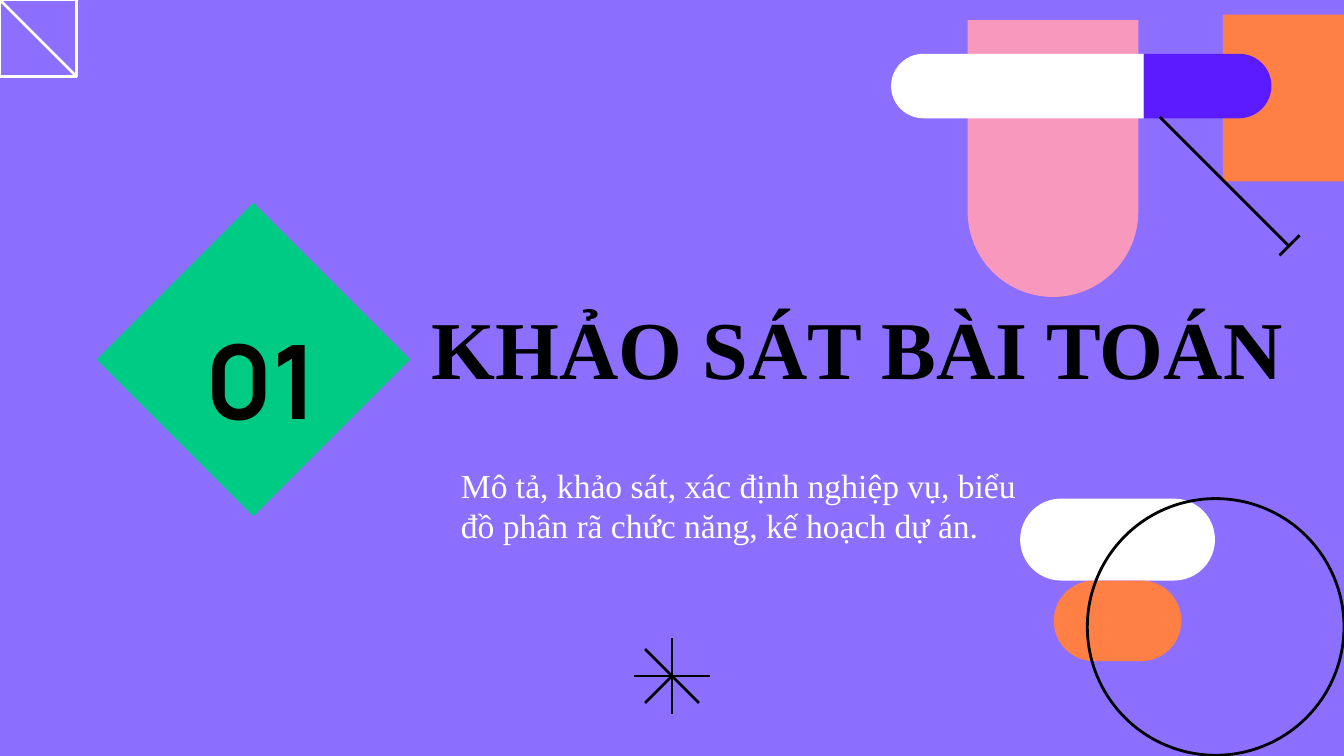
import pptx
import pptx.util
import pptx.dml.color
import pptx.enum.shapes
import pptx.enum.text
import pptx.oxml.ns
import lxml.etree

Inches = pptx.util.Inches
Pt = pptx.util.Pt
SHAPES = pptx.enum.shapes.MSO_SHAPE
ALIGN = pptx.enum.text.PP_ALIGN
ANCHOR = pptx.enum.text.MSO_ANCHOR

BLACK = "000000"
WHITE = "FFFFFF"
ORANGE = "FF7F44"
PINK = "F998BD"
VIOLET = "5A1CFE"
GREEN = "00CB84"
LAVENDER = "8D6FFF"


def color(value):
    return pptx.dml.color.RGBColor.from_string(value)


def place(shape, left, top, width, height):
    shape.left, shape.top = Inches(left), Inches(top)
    shape.width, shape.height = Inches(width), Inches(height)


def add_shape(page, kind, box, fill=None, line=None, rotation=0, corners=()):
    shape = page.shapes.add_shape(kind, *map(Inches, box))
    shape.shadow.inherit = False
    shape.rotation = rotation
    for index, corner in enumerate(corners):
        shape.adjustments[index] = corner
    if fill:
        shape.fill.solid()
        shape.fill.fore_color.rgb = color(fill)
    else:
        shape.fill.background()
    if line:
        shape.line.color.rgb = color(line)
        shape.line.width = Pt(1.5)
    else:
        shape.line.fill.background()


def add_pill(page, box, fill):
    add_shape(page, SHAPES.ROUNDED_RECTANGLE, box, fill, corners=[0.5])


def add_half_pill(page, box, fill, rotation):
    left, top, width, height = box
    shift = (width - height) / 2
    turned = (left + shift, top - shift, height, width)
    add_shape(page, SHAPES.ROUND_2_SAME_RECTANGLE, turned, fill,
              rotation=rotation, corners=[0.5, 0])


def add_line(page, start, end, line=BLACK):
    connector = page.shapes.add_connector(
        pptx.enum.shapes.MSO_CONNECTOR.STRAIGHT, *map(Inches, start + end))
    connector.line.color.rgb = color(line)
    connector.line.width = Pt(1.5)
    lxml.etree.SubElement(connector.element.spPr, pptx.oxml.ns.qn("a:effectLst"))


def set_text(box, text, font, size, fill, bold=False, align=ALIGN.LEFT,
             anchor=ANCHOR.MIDDLE):
    frame = box.text_frame
    frame.text = text
    frame.word_wrap = True
    frame.auto_size = pptx.enum.text.MSO_AUTO_SIZE.NONE
    frame.vertical_anchor = anchor
    frame.margin_left = frame.margin_right = Inches(0.1)
    frame.margin_top = frame.margin_bottom = Inches(0.1)
    para = frame.paragraphs[0]
    para.alignment = align
    para.space_before = Pt(0)
    para.line_spacing = 1.0
    para.font.name = font
    para.font.size = Pt(size)
    para.font.bold = bold
    para.font.color.rgb = color(fill)


def add_corner_square(page):
    add_shape(page, SHAPES.RECTANGLE, (0, 0, 0.57, 0.57), line=WHITE)
    add_line(page, (0, 0), (0.57, 0.57), WHITE)


def add_texts(page):
    title, subtitle = page.placeholders
    place(title, 3.11, 1.63, 6.59, 1.9)
    set_text(title, "KHẢO SÁT BÀI TOÁN", "Times New Roman", 44, BLACK, bold=True)
    place(subtitle, 3.33, 3.36, 4.51, 0.77)
    set_text(subtitle,
             "Mô tả, khảo sát, xác định nghiệp vụ, biểu đồ phân rã chức năng, "
             "kế hoạch dự án.",
             "Times New Roman", 18, WHITE, anchor=ANCHOR.TOP)


def add_number(page):
    add_shape(page, SHAPES.RECTANGLE, (1.06, 1.85, 1.65, 1.65), GREEN, rotation=45)
    number = page.shapes.add_textbox(*map(Inches, (1.26, 2.29, 1.37, 1.05)))
    set_text(number, "01", "Manrope", 55, BLACK, bold=True, align=ALIGN.CENTER)


def add_decorations(page):
    add_shape(page, SHAPES.RECTANGLE, (9.1, 0.11, 0.9, 1.24), ORANGE)
    add_shape(page, SHAPES.ROUND_2_SAME_RECTANGLE, (7.2, 0.15, 1.27, 2.06), PINK,
              corners=[0, 0.5])
    add_pill(page, (7.59, 3.71, 1.45, 0.61), WHITE)
    add_pill(page, (7.84, 4.32, 0.95, 0.6), ORANGE)
    add_shape(page, SHAPES.OVAL, (8.09, 3.71, 1.91, 1.91), line=BLACK)
    add_half_pill(page, (8.51, 0.4, 0.95, 0.48), VIOLET, 90)
    add_half_pill(page, (6.63, 0.4, 1.88, 0.48), WHITE, 270)
    add_line(page, (8.63, 0.87), (9.59, 1.83))
    add_line(page, (9.67, 1.75), (9.52, 1.9))


def add_star(page, x, y):
    arm, diagonal = 0.28, 0.2
    add_line(page, (x, y - arm), (x, y + arm))
    add_line(page, (x - arm, y), (x + arm, y))
    add_line(page, (x - diagonal, y - diagonal), (x + diagonal, y + diagonal))
    add_line(page, (x - diagonal, y + diagonal), (x, y))


def main():
    deck = pptx.Presentation()
    deck.slide_width, deck.slide_height = Inches(10), Inches(10 * 9 / 16)
    page = deck.slides.add_slide(deck.slide_layouts[0])
    page.background.fill.solid()
    page.background.fill.fore_color.rgb = color(LAVENDER)
    add_corner_square(page)
    add_texts(page)
    add_number(page)
    add_decorations(page)
    add_star(page, 5, 5.03)
    deck.save("out.pptx")


if __name__ == "__main__":
    main()
